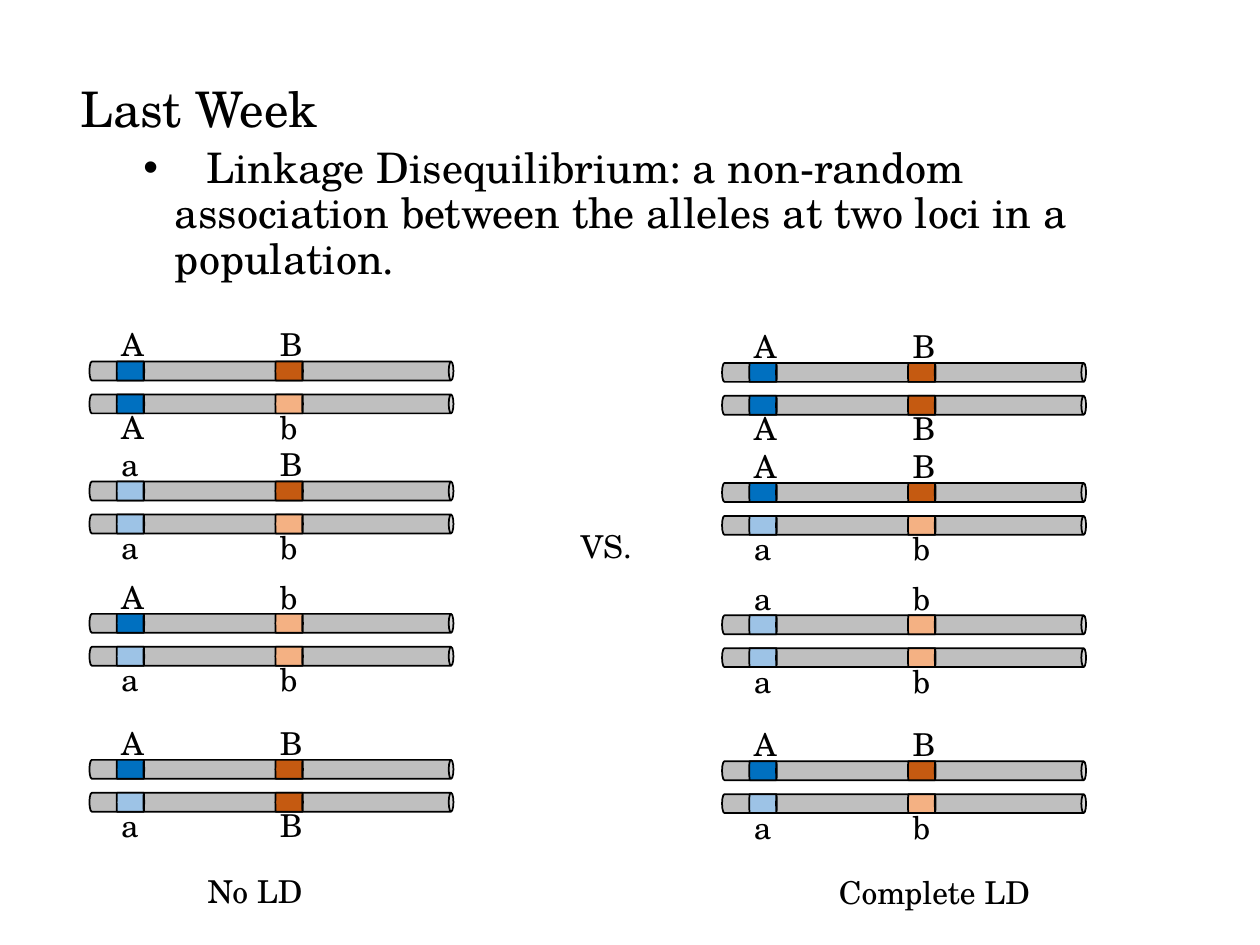
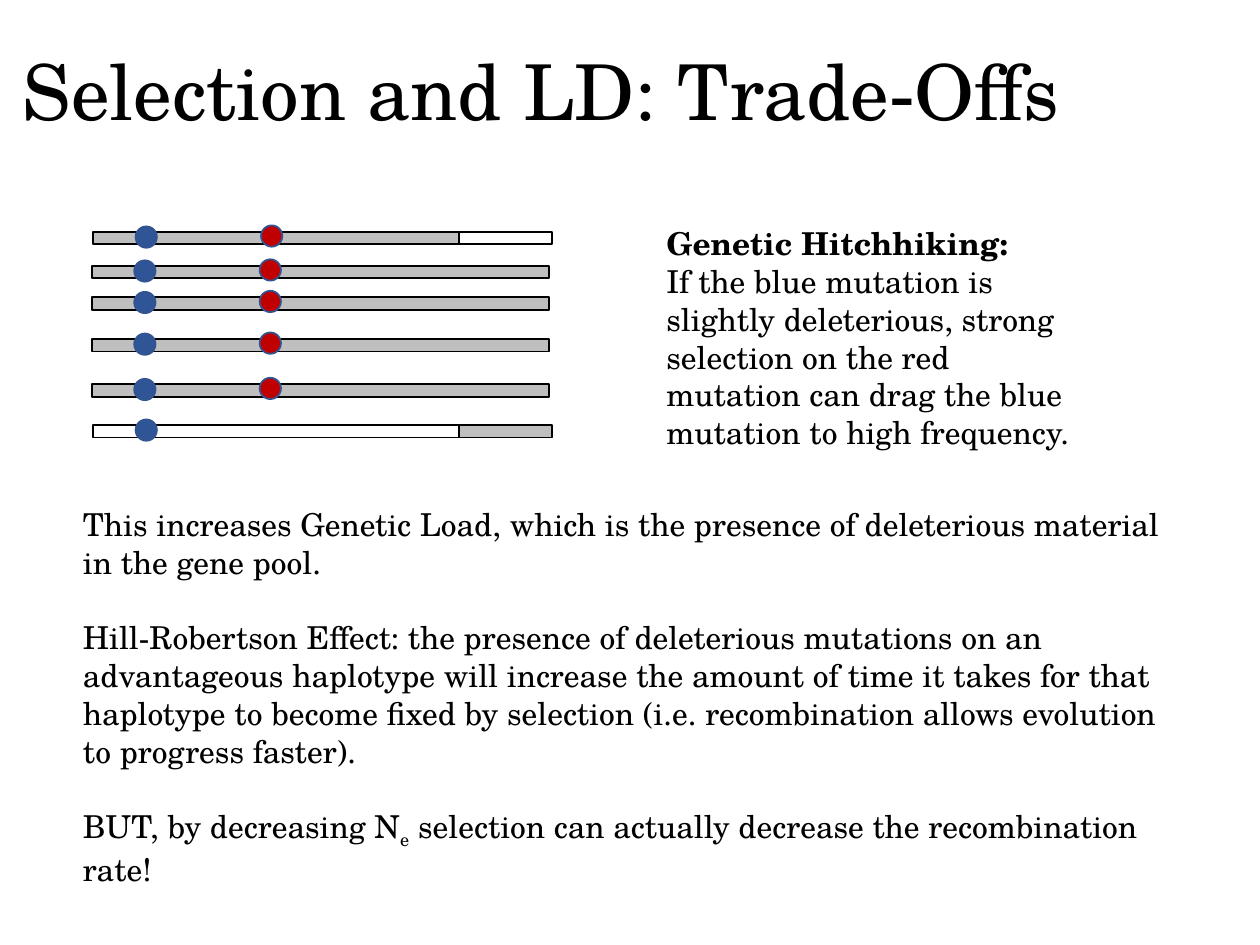
from lxml.etree import SubElement
from pptx import Presentation
from pptx.dml.color import RGBColor
from pptx.enum.shapes import MSO_SHAPE
from pptx.enum.text import MSO_ANCHOR, MSO_AUTO_SIZE
from pptx.oxml.ns import qn
from pptx.util import Pt

BLACK = "000000"
GREY = "BFBFBF"
WHITE = "FFFFFF"
ALLELE_COLOURS = {"A": "0070C0", "a": "9DC3E6", "B": "C55A11", "b": "F4B183"}
BLUE_MUTATION = "2F5597"
RED_MUTATION = "C00000"
MUTATION_EDGE = "325491"


def colour(hex_code):
    return RGBColor.from_string(hex_code)


class Deck:
    """Holds the shared style and the slide or group being filled."""

    font = "TeX Gyre Schola"
    body_size = 18

    def __init__(self):
        self.presentation = Presentation()
        self.presentation.slide_width = Pt(720)
        self.presentation.slide_height = Pt(540)

    def new_slide(self):
        blank = self.presentation.slide_layouts[6]
        self.slide = self.presentation.slides.add_slide(blank)
        self.shapes = self.slide.shapes

    def open_group(self):
        self.shapes = self.slide.shapes.add_group_shape().shapes

    def close_group(self):
        self.shapes = self.slide.shapes

    def style(self, paragraph, size, bold=False):
        for run in paragraph.runs:
            run.font.name = self.font
            run.font.size = Pt(size)
            run.font.bold = bold
            run.font.color.rgb = colour(BLACK)

    def text(self, left, top, width, height, words, size=body_size, wrap=True, grow=True):
        """Adds a text box, one paragraph per line of words, and returns its frame."""
        frame = self.shapes.add_textbox(Pt(left), Pt(top), Pt(width), Pt(height)).text_frame
        frame.word_wrap = wrap
        frame.auto_size = MSO_AUTO_SIZE.SHAPE_TO_FIT_TEXT if grow else MSO_AUTO_SIZE.NONE
        frame.text = words
        for paragraph in frame.paragraphs:
            self.style(paragraph, size)
        return frame

    def bullet(self, paragraph, margin, indent):
        properties = paragraph._p.get_or_add_pPr()
        properties.set("marL", str(Pt(margin)))
        properties.set("indent", str(Pt(indent)))
        SubElement(properties, qn("a:buFont")).set("typeface", "Arial")
        SubElement(properties, qn("a:buChar")).set("char", "•")

    def shape(self, kind, left, top, width, height, fill, edge=BLACK):
        shape = self.shapes.add_shape(kind, Pt(left), Pt(top), Pt(width), Pt(height))
        shape.shadow.inherit = False
        if fill:
            shape.fill.solid()
            shape.fill.fore_color.rgb = colour(fill)
        else:
            shape.fill.background()
        shape.line.color.rgb = colour(edge)
        shape.line.width = Pt(1)
        return shape

    def bar(self, left, middle, width, height, fill):
        self.shape(MSO_SHAPE.RECTANGLE, left, middle - height / 2, width, height, fill)

    def cylinder(self, centre, middle, length, thickness, fill, rim=0.25):
        """Adds a can lying on its side, placed by its centre point."""
        can = self.shape(MSO_SHAPE.CAN, centre - thickness / 2, middle - length / 2,
                         thickness, length, fill)
        can.rotation = 90
        can.adjustments[0] = rim

    def dot(self, left, middle, fill):
        size = 12.2
        self.shape(MSO_SHAPE.OVAL, left, middle - size / 2, size, size, fill, MUTATION_EDGE)


def chromosome_pair(deck, left, middle, haplotypes):
    """Draws two chromosomes with their alleles, named above and below the pair."""
    gap, thickness = 18.8, 10.8
    locus_offsets = (23.4, 114.1)
    label_shifts = (-29.6, 17.6)
    deck.open_group()
    for row in range(2):
        deck.cylinder(left + 104, middle + row * gap, 208, thickness, GREY)
    for row, alleles in enumerate(haplotypes):
        for allele, offset in zip(alleles, locus_offsets):
            deck.cylinder(left + offset, middle + row * gap, 15.7, thickness,
                          ALLELE_COLOURS[allele], rim=0.036)
            deck.text(left + offset - 12.3, middle + label_shifts[row], 16, 28.8, allele)
    deck.close_group()


def last_week(deck):
    deck.new_slide()
    definition = deck.text(
        38.9, 45.4, 620.6, 451.4,
        "Last Week\n\tLinkage Disequilibrium: a non-random association between "
        "the alleles at two loci in a population.", size=28, grow=False)
    heading, linkage = definition.paragraphs
    heading.line_spacing = linkage.line_spacing = 0.9
    linkage.space_before = Pt(5)
    deck.bullet(linkage, 54, -18)
    deck.style(linkage, 24)

    pair_middles = (212, 280.6, 356.2, 439.6)
    no_ld = (("AB", "Ab"), ("aB", "ab"), ("Ab", "ab"), ("AB", "aB"))
    complete_ld = (("AB", "AB"), ("AB", "ab"), ("ab", "ab"), ("AB", "ab"))
    for left, drop, population in ((51.1, 0, no_ld), (412.6, 0.8, complete_ld)):
        for middle, haplotypes in zip(pair_middles, population):
            chromosome_pair(deck, left, middle + drop, haplotypes)

    deck.text(324.7, 297.4, 55.4, 28.8, "VS.")
    deck.text(111.6, 494.6, 69.8, 28.8, "No LD", wrap=False)
    deck.text(472.3, 495.4, 125.3, 28.8, "Complete LD", wrap=False)


def trade_offs(deck):
    deck.new_slide()
    title = deck.text(5.8, 9.4, 620.6, 90.7, "Selection and LD: Trade-Offs", size=44, grow=False)
    title.vertical_anchor = MSO_ANCHOR.MIDDLE
    title.paragraphs[0].line_spacing = 0.9

    haplotype_middles = (136.1, 155.5, 173.5, 197.3, 223.2, 246.4)
    last = len(haplotype_middles) - 1
    deck.open_group()
    for row, middle in enumerate(haplotype_middles):
        recombinant = row in (0, last)
        left = 53.3 if recombinant else 52.5
        deck.bar(left, middle, 261.4, 7.2, None if row == last else GREY)
        if recombinant:
            deck.bar(262.4, middle, 53.3, 7.2, GREY if row == last else WHITE)
        deck.dot(left + 24.2, middle - 0.6, BLUE_MUTATION)
        if row != last:
            deck.dot(left + 95.9, middle - 1.2, RED_MUTATION)
    deck.close_group()

    hitchhiking = deck.text(
        373.7, 124.6, 252.7, 138.2,
        "Genetic Hitchhiking:\nIf the blue mutation is slightly deleterious, strong selection "
        "on the red mutation can drag the blue mutation to high frequency.")
    deck.style(hitchhiking.paragraphs[0], deck.body_size, bold=True)

    consequences = deck.text(
        40.3, 285.1, 644.4, 225.4,
        "This increases Genetic Load, which is the presence of deleterious material in the "
        "gene pool.\n"
        "Hill-Robertson Effect: the presence of deleterious mutations on an advantageous "
        "haplotype will increase the amount of time it takes for that haplotype to become "
        "fixed by selection (i.e. recombination allows evolution to progress faster).\n"
        "BUT, by decreasing N")
    for paragraph in consequences.paragraphs[1:]:
        paragraph.space_before = Pt(21.6)
    recombination = consequences.paragraphs[-1]
    subscript = recombination.add_run()
    subscript.text = "e"
    subscript._r.get_or_add_rPr().set("baseline", "-25000")
    recombination.add_run().text = " selection can actually decrease the recombination rate!"
    deck.style(recombination, deck.body_size)


def main():
    deck = Deck()
    last_week(deck)
    trade_offs(deck)
    deck.presentation.save("out.pptx")


if __name__ == "__main__":
    main()
